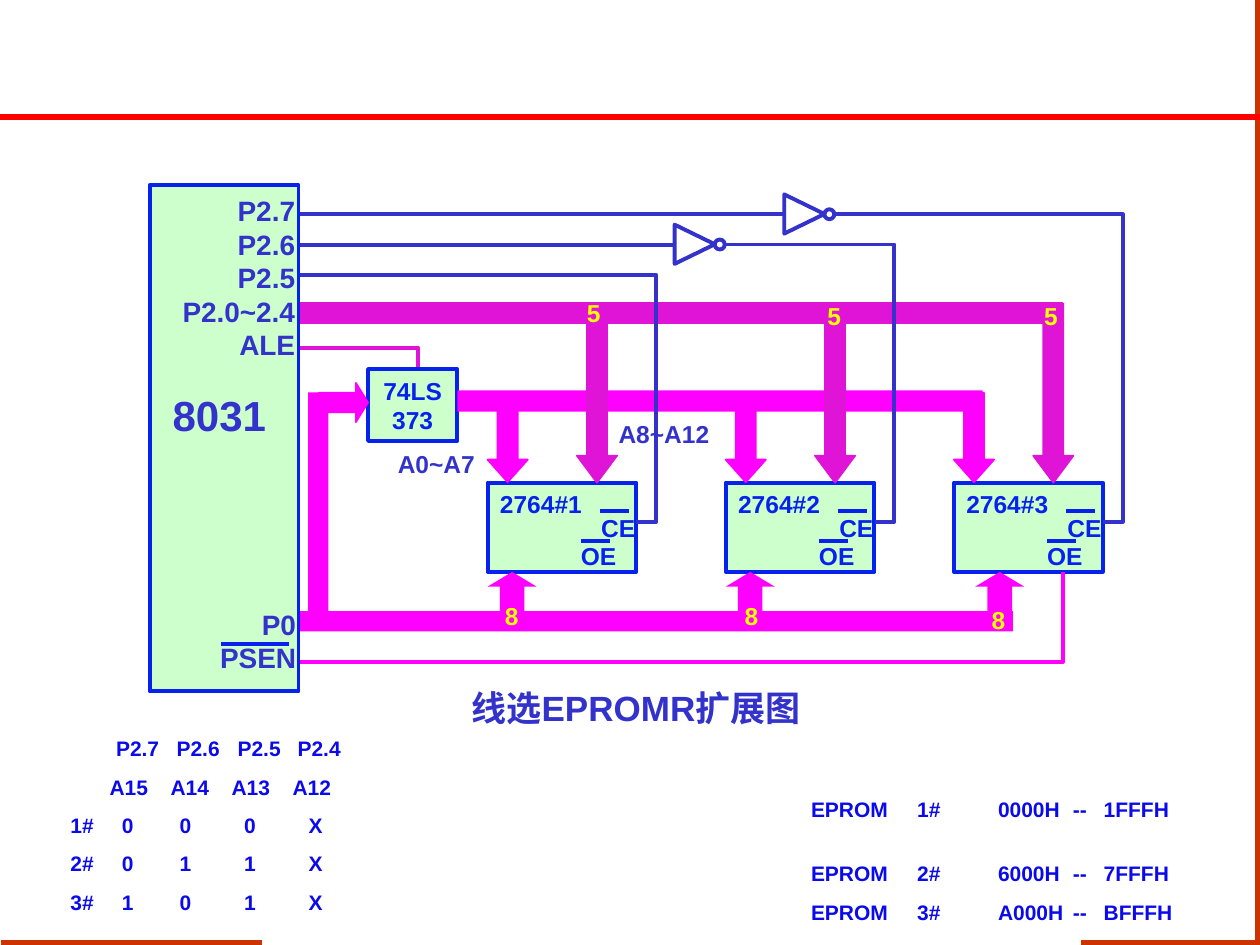
from lxml.etree import SubElement
from pptx import Presentation
from pptx.dml.color import RGBColor
from pptx.enum.shapes import MSO_CONNECTOR as Link, MSO_SHAPE as Preset
from pptx.enum.text import MSO_ANCHOR as Anchor, MSO_AUTO_SIZE as Fit, PP_ALIGN as Align
from pptx.oxml.ns import qn
from pptx.util import Cm, Pt

BLUE, INDIGO, TABLE_BLUE = "0722ED", "3333CC", "0A0AEA"
MAGENTA, PURPLE = "FF00FF", "E014D6"
GREEN, YELLOW, RED, RUST = "CCFFCC", "FFFF00", "FF0000", "CC3300"

MCU_RIGHT = 6.02
CHIP_LEFTS = (9.83, 14.63, 19.23)
CHIP_TOP, CHIP_WIDTH, CHIP_HEIGHT = 9.73, 3, 1.8


def color(code):
    return RGBColor.from_string(code)


class Diagram:
    """Holds the text style and the slide being drawn on."""

    font_name = "Arial"
    wire_width = 2.25

    def __init__(self, page):
        self.page = page

    def fill_text(self, box, lines, size, ink, align=Align.LEFT, wrap=False, tabs=(), gaps=()):
        """Fill box; tabs holds the tab stops and gaps the space before, line by line."""
        frame = box.text_frame
        frame.word_wrap = wrap
        frame.auto_size = Fit.NONE
        for index, line in enumerate(lines):
            para = frame.paragraphs[0] if index == 0 else frame.add_paragraph()
            para.text = line
            para.alignment = align
            if gaps:
                para.space_before = Pt(gaps[index])
            if tabs:
                stops = SubElement(para._p.get_or_add_pPr(), qn("a:tabLst"))
                for stop in tabs[index]:
                    SubElement(stops, qn("a:tab"), pos=str(Cm(stop)), algn="l")
            style = {"name": self.font_name, "size": Pt(size), "bold": True}
            for span in para.runs:
                for key, value in style.items():
                    setattr(span.font, key, value)
                span.font.color.rgb = color(ink)

    def title(self, text, place):
        box = self.page.shapes.title
        for key, value in zip(("left", "top", "width", "height"), place):
            setattr(box, key, Cm(value))
        box.text_frame.vertical_anchor = Anchor.TOP
        self.fill_text(box, [text], 20, INDIGO)

    def label(self, place, lines, size=14, ink=INDIGO, **options):
        box = self.page.shapes.add_textbox(*map(Cm, place))
        self.fill_text(box, lines, size, ink, **options)

    def outline(self, shape, ink, width):
        shape.shadow.inherit = False
        if ink:
            shape.line.color.rgb = color(ink)
            shape.line.width = Pt(width)
        else:
            shape.line.fill.background()

    def shape(self, kind, place, fill=None, line=None, width=wire_width, adjust=(), turn=0):
        shape = self.page.shapes.add_shape(kind, *map(Cm, place))
        for index, value in enumerate(adjust):
            shape.adjustments[index] = value
        shape.rotation = turn
        if fill:
            shape.fill.solid()
            shape.fill.fore_color.rgb = color(fill)
        else:
            shape.fill.background()
        self.outline(shape, line, width)
        return shape

    def block(self, place):
        return self.shape(Preset.RECTANGLE, place, GREEN, BLUE)

    def bus(self, place, fill, line=None):
        self.shape(Preset.RECTANGLE, place, fill, line, 1)

    def arrow(self, kind, place, fill, adjust, line=None):
        self.shape(kind, place, fill, line, 1, adjust)

    def line(self, x1, y1, x2, y2, ink=BLUE, width=wire_width):
        link = self.page.shapes.add_connector(Link.STRAIGHT, *map(Cm, (x1, y1, x2, y2)))
        link.line.color.rgb = color(ink)
        link.line.width = Pt(width)
        SubElement(link._element.spPr, qn("a:effectLst"))

    def wire(self, points, ink):
        """Draw an open line with corners."""
        start, *rest = [(Cm(x), Cm(y)) for x, y in points]
        builder = self.page.shapes.build_freeform(*start, scale=1.0)
        builder.add_line_segments(rest, close=False)
        shape = builder.convert_to_shape()
        shape.fill.background()
        self.outline(shape, ink, self.wire_width)

    def chip(self, number, left):
        self.block((left, CHIP_TOP, CHIP_WIDTH, CHIP_HEIGHT))
        self.label((left, CHIP_TOP, 2.16, 0.86), [f"2764#{number}"], ink=BLUE)
        for pin, x, y, bar_x, bar_y in (("CE", 2.04, 0.48, 2.26, 0.58),
                                        ("OE", 1.63, 1.05, 1.88, 1.17)):
            self.label((left + x, CHIP_TOP + y, 1.4, 0.86), [pin], ink=BLUE)
            self.line(left + bar_x, CHIP_TOP + bar_y, left + bar_x + 0.59, CHIP_TOP + bar_y)

    def inverter(self, left, middle):
        self.shape(Preset.ISOSCELES_TRIANGLE, (left, middle - 0.41, 0.79, 0.81),
                   line=INDIGO, turn=90)
        self.shape(Preset.OVAL, (left + 0.8, middle - 0.1, 0.2, 0.2), line=INDIGO)
        self.line(MCU_RIGHT, middle, left, middle, INDIGO)


def draw_frame(diagram):
    diagram.line(5.28, 19, 0.03, 19, RUST, 3)
    diagram.line(25.35, 19.05, 25.35, 0, RUST, 3)
    diagram.line(25.3, 19, 21.79, 19, RUST, 3)
    diagram.line(25.4, 2.36, 0, 2.36, RED, 3)


def draw_circuit(diagram):
    latch = diagram.block((7.42, 7.44, 1.8, 1.45))
    latch.text_frame.vertical_anchor = Anchor.MIDDLE
    diagram.fill_text(latch, ["74LS373"], 14, BLUE, Align.CENTER, wrap=True)
    for number, left in enumerate(CHIP_LEFTS, 1):
        diagram.chip(number, left)

    # Data bus from P0, and PSEN
    chip_bottom = CHIP_TOP + CHIP_HEIGHT
    diagram.bus((MCU_RIGHT, 12.32, 14.4, 0.41), MAGENTA)
    for left in (*CHIP_LEFTS[:2], 19.66):
        diagram.arrow(Preset.UP_ARROW, (left, chip_bottom, 0.99, 1.19), MAGENTA, (0.5, 0.3))
    diagram.wire([(MCU_RIGHT, 13.34), (21.43, 13.34), (21.43, chip_bottom)], MAGENTA)
    diagram.bus((6.21, 7.91, 0.41, 4.41), MAGENTA)
    diagram.arrow(Preset.RIGHT_ARROW, (6.43, 7.72, 0.99, 0.79), MAGENTA, (0.5, 0.31), MAGENTA)

    # Low and high address buses
    diagram.bus((9.22, 7.87, 10.59, 0.43), MAGENTA)
    for left in CHIP_LEFTS:
        diagram.arrow(Preset.DOWN_ARROW, (left, 7.92, 0.81, 1.8), MAGENTA, (0.5, 0.56), MAGENTA)
    diagram.bus((MCU_RIGHT, 6.1, 15.39, 0.41), PURPLE, PURPLE)
    for left in (11.63, 16.43, 20.83):
        diagram.arrow(Preset.DOWN_ARROW, (left, 6.12, 0.81, 3.61), PURPLE, (0.5, 0.67), PURPLE)
    diagram.wire([(MCU_RIGHT, 7.01), (8.43, 7.01), (8.43, 7.4)], PURPLE)

    # Chip selects
    diagram.inverter(13.61, 4.93)
    diagram.inverter(15.82, 4.32)
    select_starts = ((MCU_RIGHT, 5.54), (14.63, 4.93), (16.82, 4.32))
    for left, (start, level) in zip(CHIP_LEFTS, select_starts):
        edge = left + CHIP_WIDTH
        diagram.wire([(edge, 10.52), (edge + 0.4, 10.52), (edge + 0.4, level), (start, level)],
                     INDIGO)

    # Microcontroller
    diagram.block((3.02, 3.73, 3, 10.21))
    diagram.label((3.43, 3.78, 2.77, 3.66), ["P2.7", "P2.6", "P2.5", "P2.0~2.4", "ALE"], 16,
                  align=Align.RIGHT)
    diagram.label((4.19, 12.12, 2.03, 1.63), ["P0", "PSEN"], 16, align=Align.RIGHT)
    diagram.line(4.45, 12.98, 5.82, 12.98)
    diagram.label((3.23, 7.72, 2.39, 1.27), ["8031"], 24)

    # Bus widths and names
    for digit, left, top in (("8", 9.93, 11.99), ("8", 14.76, 11.99), ("8", 19.74, 12.07),
                             ("5", 11.58, 5.89), ("5", 16.43, 5.94), ("5", 20.8, 5.94)):
        diagram.label((left, top, 0.79, 0.86), [digit], ink=YELLOW)
    diagram.label((7.77, 8.92, 2.06, 0.86), ["A0~A7"])
    diagram.label((12.22, 8.33, 2.34, 0.86), ["A8~A12"])


def draw_address_lists(diagram):
    bit_rows = [("", "P2.7", "P2.6", "P2.5", "P2.4"), ("", "A15", "A14", "A13", "A12"),
                ("1#", "0", "0", "0", "X"), ("2#", "0", "1", "1", "X"), ("3#", "1", "0", "1", "X")]
    bit_tabs = [(0.92, 2.14, 3.37, 4.58), (0.79, 2.02, 3.25, 4.48)] + [(1.04, 2.2, 3.5, 4.8)] * 3
    diagram.label((1.17, 14.71, 6.15, 3.86), ["\t".join(row) for row in bit_rows], 12, TABLE_BLUE,
                  wrap=True, tabs=bit_tabs, gaps=[0] + [7.5] * 4)
    ranges = [("1#", "0000H", "1FFFH"), ("2#", "6000H", "7FFFH"), ("3#", "A000H", "BFFFH")]
    diagram.label((16.1, 15.93, 8.69, 2.82),
                  [f"EPROM\t{name}\t{first}\t--\t{last}" for name, first, last in ranges],
                  12, TABLE_BLUE, wrap=True, tabs=[(2.14, 3.77, 5.28, 5.9)] * 3, gaps=(0, 22.5, 7.5))


def main():
    deck = Presentation()
    deck.slide_width, deck.slide_height = Cm(25.4), Cm(19.05)
    diagram = Diagram(deck.slides.add_slide(deck.slide_layouts[5]))
    draw_frame(diagram)
    draw_address_lists(diagram)
    draw_circuit(diagram)
    diagram.title("线选EPROMR扩展图", (9.25, 13.72, 7.47, 1.12))
    deck.save("out.pptx")


if __name__ == "__main__":
    main()
